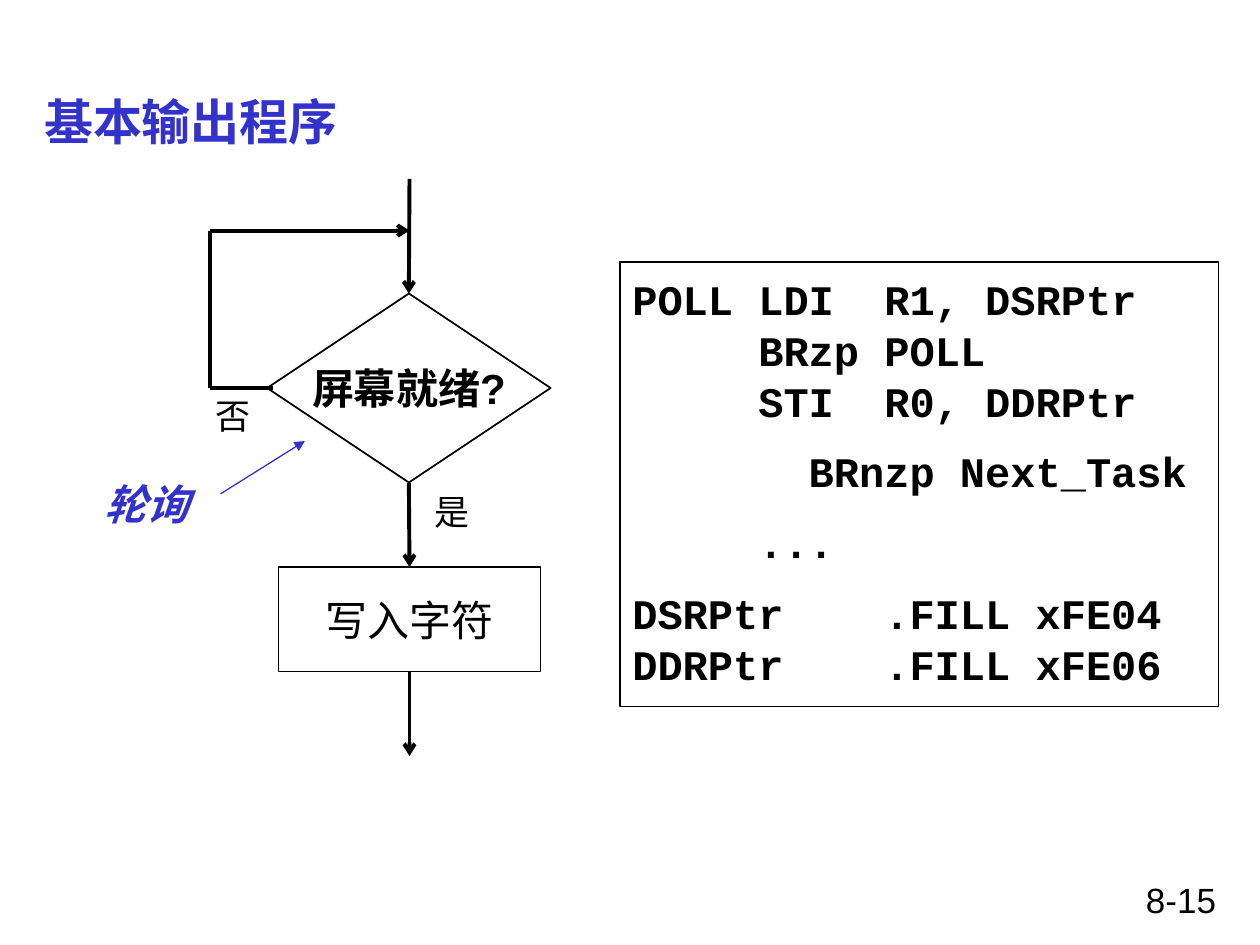
import pptx
import pptx.dml.color
import pptx.enum.shapes
import pptx.enum.text
import pptx.oxml
import pptx.oxml.ns
import pptx.util

Inches = pptx.util.Inches
Pt = pptx.util.Pt
ALIGN = pptx.enum.text.PP_ALIGN
ANCHOR = pptx.enum.text.MSO_ANCHOR
SHAPE = pptx.enum.shapes.MSO_SHAPE
BLACK, BLUE = "000000", "3333CC"
NS = pptx.oxml.ns.nsdecls("a")


def paint(color_format, color):
    color_format.rgb = pptx.dml.color.RGBColor.from_string(color)


def write(box, paragraphs, color, align, font, frame_format):
    frame = box.text_frame
    for name, value in frame_format.items():
        setattr(frame, name, value)
    for index, text in enumerate(paragraphs):
        para = frame.paragraphs[0] if index == 0 else frame.add_paragraph()
        para.text = text
        para.alignment = align
        for span in para.runs:
            for name, value in font.items():
                setattr(span.font, name, value)
            paint(span.font.color, color)


deck = pptx.Presentation()
deck.slide_width, deck.slide_height = Inches(10), Inches(7.5)
page = deck.slides.add_slide(deck.slide_layouts[5])

# Title
title = page.shapes.title
title.left, title.top = Inches(0.25), Inches(0.67)
title.width, title.height = Inches(9.5), Inches(0.58)
write(title, ["基本输出程序"], BLUE, ALIGN.LEFT,
      {"size": Pt(28), "name": "Arial", "bold": True},
      {"vertical_anchor": ANCHOR.MIDDLE, "word_wrap": True})

# Labels and page number
labels = [
    ("8-15", 7.17, 6.92, 2.58, 0.42, BLACK, ALIGN.RIGHT, True, {"size": Pt(20)}),
    ("是", 3.35, 3.84, 0.48, 0.44, BLACK, ALIGN.CENTER, False, {"size": Pt(20)}),
    ("否", 1.54, 3.08, 0.62, 0.43, BLACK, ALIGN.CENTER, True, {"size": Pt(20)}),
    ("轮询", 0.72, 3.75, 0.88, 0.51, BLUE, ALIGN.CENTER, False,
     {"size": Pt(24), "bold": True, "italic": True}),
]
for text, left, top, width, height, color, align, wrap, font in labels:
    box = page.shapes.add_textbox(Inches(left), Inches(top), Inches(width), Inches(height))
    write(box, [text], color, align, {"name": "Arial", **font}, {"word_wrap": wrap})

# Flowchart boxes and the code frame
code = [
    "POLL\tLDI  R1, DSRPtr\v\tBRzp POLL\v\tSTI  R0, DDRPtr",
    "\tBRnzp Next_Task",
    "\t...",
    "DSRPtr\t.FILL xFE04\vDDRPtr\t.FILL xFE06",
]
centred = {"vertical_anchor": ANCHOR.MIDDLE, "word_wrap": False}
frames = [
    (SHAPE.DIAMOND, 2.12, 2.33, 2.25, 1.5, 1, ["屏幕就绪?"], ALIGN.CENTER,
     {"name": "Arial", "bold": True}, centred),
    (SHAPE.RECTANGLE, 2.21, 4.5, 2.08, 0.83, 1, ["写入字符"], ALIGN.CENTER,
     {"name": "Karla"}, centred),
    (SHAPE.RECTANGLE, 4.92, 2.08, 4.75, 3.53, 0.75, code, ALIGN.LEFT,
     {"name": "Courier New", "bold": True},
     {"vertical_anchor": ANCHOR.TOP, "word_wrap": True, "margin_top": Inches(0.09)}),
]
boxes = []
for kind, left, top, width, height, weight, texts, align, font, frame_format in frames:
    box = page.shapes.add_shape(kind, Inches(left), Inches(top), Inches(width), Inches(height))
    box.shadow.inherit = False
    box.fill.background()
    paint(box.line.color, BLACK)
    box.line.width = Pt(weight)
    write(box, texts, BLACK, align, {"size": Pt(24), **font}, frame_format)
    boxes.append(box)
decision, action, listing = boxes

# Line pitch and tab stops of the code
code_tabs = [(1, 2), (1.4,), (1, 2), (1, 2)]
for index, (para, stops) in enumerate(zip(listing.text_frame.paragraphs, code_tabs)):
    para.line_spacing = Pt(29)
    para.space_before = Pt(11.4 if index else 0)
    tabs = "".join(f'<a:tab pos="{Inches(stop)}" algn="l"/>' for stop in stops)
    para._p.get_or_add_pPr().append(
        pptx.oxml.parse_xml(f"<a:tabLst {NS}>{tabs}</a:tabLst>"))

# Flow lines: start, end, color, width, arrowhead, joined start, joined end
lines = [
    ((3.25, 3.83), (3.25, 4.5), BLACK, 2.25, "arrow", (decision, 2), (action, 0)),
    ((3.25, 5.33), (3.25, 6), BLACK, 2.25, "arrow", (action, 2), None),
    ((3.25, 1.42), (3.25, 2.33), BLACK, 2.25, "arrow", None, (decision, 0)),
    ((2.17, 3.08), (1.67, 3.08), BLACK, 2.25, None, None, None),
    ((1.67, 3.08), (1.67, 1.83), BLACK, 2.25, None, None, None),
    ((1.67, 1.83), (3.25, 1.83), BLACK, 2.25, "arrow", None, None),
    ((1.75, 3.92), (2.42, 3.5), BLUE, 0.75, "triangle", None, None),
]
for start, end, color, weight, head, source, target in lines:
    line = page.shapes.add_connector(
        pptx.enum.shapes.MSO_CONNECTOR.STRAIGHT, *map(Inches, start + end))
    if source:
        line.begin_connect(*source)
    if target:
        line.end_connect(*target)
    paint(line.line.color, color)
    line.line.width = Pt(weight)
    if head:
        line.line._get_or_add_ln().append(
            pptx.oxml.parse_xml(f'<a:tailEnd {NS} type="{head}"/>'))
    line._element.spPr.append(pptx.oxml.parse_xml(f"<a:effectLst {NS}/>"))

deck.save("out.pptx")
